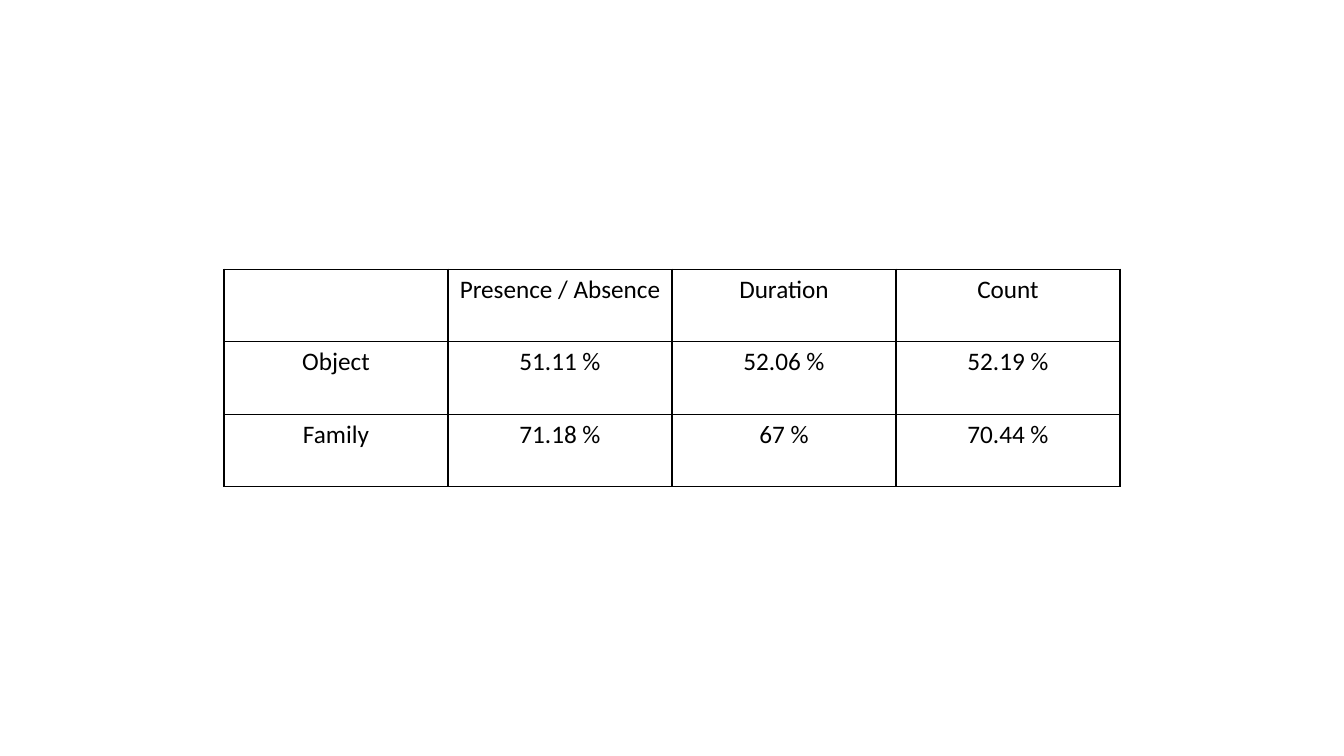
from lxml import etree
from pptx import Presentation, util as u
from pptx.dml.color import RGBColor
from pptx.enum import text
from pptx.oxml.ns import qn

COLORS = {"ink": "000000", "paper": "FFFFFF"}
FONT = "Calibri"
ACCURACY = [
    ["", "Presence / Absence", "Duration", "Count"],
    ["Object", "51.11 %", "52.06 %", "52.19 %"],
    ["Family", "71.18 %", "67 %", "70.44 %"],
]


def add_borders(cell):
    """Draw a thin line on all four sides, placed before the cell's fill."""
    properties = cell._tc.get_or_add_tcPr()
    for position, side in enumerate(("a:lnL", "a:lnR", "a:lnT", "a:lnB")):
        line = etree.Element(qn(side), w=str(u.Pt(1)))
        fill = etree.SubElement(line, qn("a:solidFill"))
        etree.SubElement(fill, qn("a:srgbClr"), val=COLORS["ink"])
        properties.insert(position, line)


def fill_cell(cell, label):
    cell.fill.solid()
    cell.fill.fore_color.rgb = RGBColor.from_string(COLORS["paper"])
    add_borders(cell)
    paragraph = cell.text_frame.paragraphs[0]
    paragraph.text = label
    paragraph.alignment = text.PP_ALIGN.CENTER
    paragraph.font.size = u.Pt(18)
    for run in paragraph.runs:
        run.font.size = u.Pt(18)
        run.font.name = FONT
        run.font.bold = False
        run.font.color.rgb = RGBColor.from_string(COLORS["ink"])


def add_accuracy_table(slide, left, top, width, height):
    row_count, column_count = len(ACCURACY), len(ACCURACY[0])
    accuracy = slide.shapes.add_table(
        row_count, column_count, left, top, width, height).table
    accuracy.first_row = accuracy.horz_banding = False
    for row, labels in enumerate(ACCURACY):
        for column, label in enumerate(labels):
            fill_cell(accuracy.cell(row, column), label)


def main():
    deck = Presentation()
    deck.slide_width, deck.slide_height = u.Inches(13.33), u.Inches(7.5)
    slide = deck.slides.add_slide(deck.slide_layouts[6])

    # Table: the middle four of six columns
    column_width = deck.slide_width // 6
    row_height = u.Inches(0.72)
    add_accuracy_table(slide, column_width, u.Inches(2.67),
                       4 * column_width, len(ACCURACY) * row_height)

    deck.save("out.pptx")


if __name__ == "__main__":
    main()
